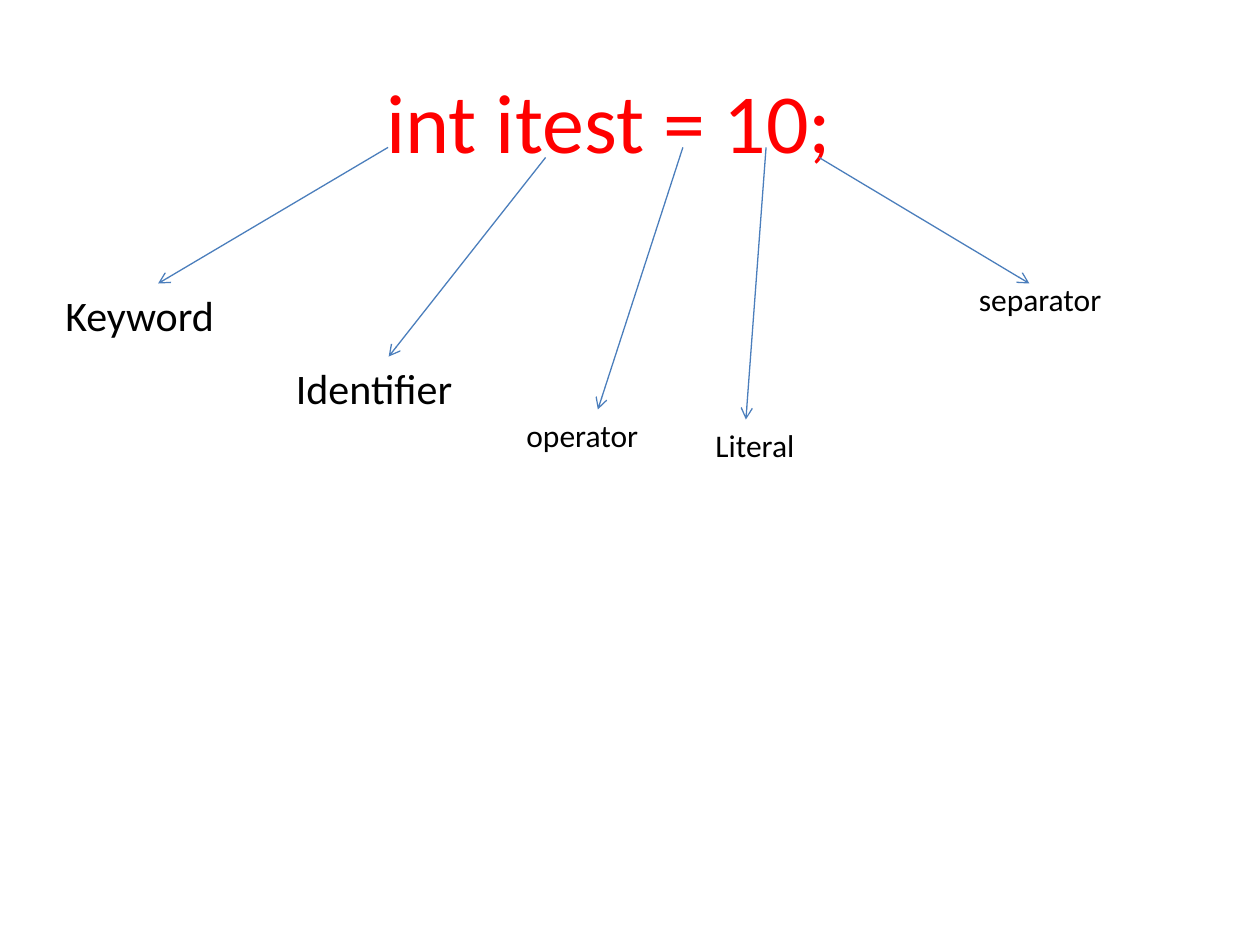
from dataclasses import dataclass

from lxml.etree import SubElement
from pptx import Presentation
from pptx.dml.color import RGBColor
from pptx.enum.shapes import MSO_CONNECTOR
from pptx.enum.text import PP_ALIGN
from pptx.oxml.ns import qn
from pptx.shapes.autoshape import Shape
from pptx.slide import Slide
from pptx.util import Inches, Pt


@dataclass(frozen=True)
class Theme:
    font: str = "Calibri"
    statement_color: RGBColor = RGBColor(0xFF, 0x00, 0x00)
    label_color: RGBColor = RGBColor(0x00, 0x00, 0x00)
    arrow_color: RGBColor = RGBColor(0x4B, 0x7E, 0xBC)
    statement_size: int = 48
    large_size: int = 24
    small_size: int = 18
    arrow_width: float = 0.75


THEME = Theme()


@dataclass(frozen=True)
class Box:
    left: float
    top: float
    width: float
    height: float


@dataclass(frozen=True)
class Token:
    name: str
    box: Box
    size: int
    start: tuple[float, float]
    end: tuple[float, float]
    joined: bool


STATEMENT_BOX = Box(0.5, 0.5, 8.67, 1)
TOKENS = [
    Token("Keyword", Box(0.42, 2.25, 1.67, 0.5), THEME.large_size, (3.08, 1.17), (1.25, 2.25), True),
    Token("Identifier", Box(2.25, 2.83, 1.67, 0.5), THEME.large_size, (4.33, 1.25), (3.08, 2.83), True),
    Token("operator", Box(4.08, 3.25, 1.33, 0.4), THEME.small_size, (5.42, 1.17), (4.75, 3.25), True),
    Token("Literal", Box(5.58, 3.33, 1.33, 0.4), THEME.small_size, (6.08, 1.17), (5.92, 3.33), False),
    Token("separator", Box(7.67, 2.17, 1.33, 0.4), THEME.small_size, (6.5, 1.25), (8.17, 2.25), False),
]


def add_text(page: Slide, text: str, box: Box, size: int, color: RGBColor,
             alignment: PP_ALIGN = PP_ALIGN.LEFT) -> Shape:
    shape = page.shapes.add_textbox(
        Inches(box.left), Inches(box.top), Inches(box.width), Inches(box.height))
    shape.text_frame.word_wrap = True
    paragraph = shape.text_frame.paragraphs[0]
    paragraph.text = text
    paragraph.alignment = alignment
    paragraph.font.name = THEME.font
    paragraph.font.size = Pt(size)
    paragraph.font.color.rgb = color
    return shape


def add_arrow(page: Slide, token: Token, label: Shape) -> None:
    arrow = page.shapes.add_connector(
        MSO_CONNECTOR.STRAIGHT, *(Inches(value) for value in token.start + token.end))
    if token.joined:
        arrow.end_connect(label, 0)
    arrow.line.color.rgb = THEME.arrow_color
    arrow.line.width = Pt(THEME.arrow_width)
    properties = arrow.element.spPr
    SubElement(properties.find(qn("a:ln")), qn("a:tailEnd"), type="arrow")
    SubElement(properties, qn("a:effectLst"))


def main() -> None:
    deck = Presentation()
    deck.slide_width = Inches(10)
    deck.slide_height = Inches(7.5)
    page = deck.slides.add_slide(deck.slide_layouts[6])
    add_text(page, "int itest = 10;", STATEMENT_BOX, THEME.statement_size,
             THEME.statement_color, PP_ALIGN.CENTER)
    labels = [add_text(page, token.name, token.box, token.size, THEME.label_color)
              for token in TOKENS]
    for token, label in zip(TOKENS, labels):
        add_arrow(page, token, label)
    deck.save("out.pptx")


if __name__ == "__main__":
    main()
